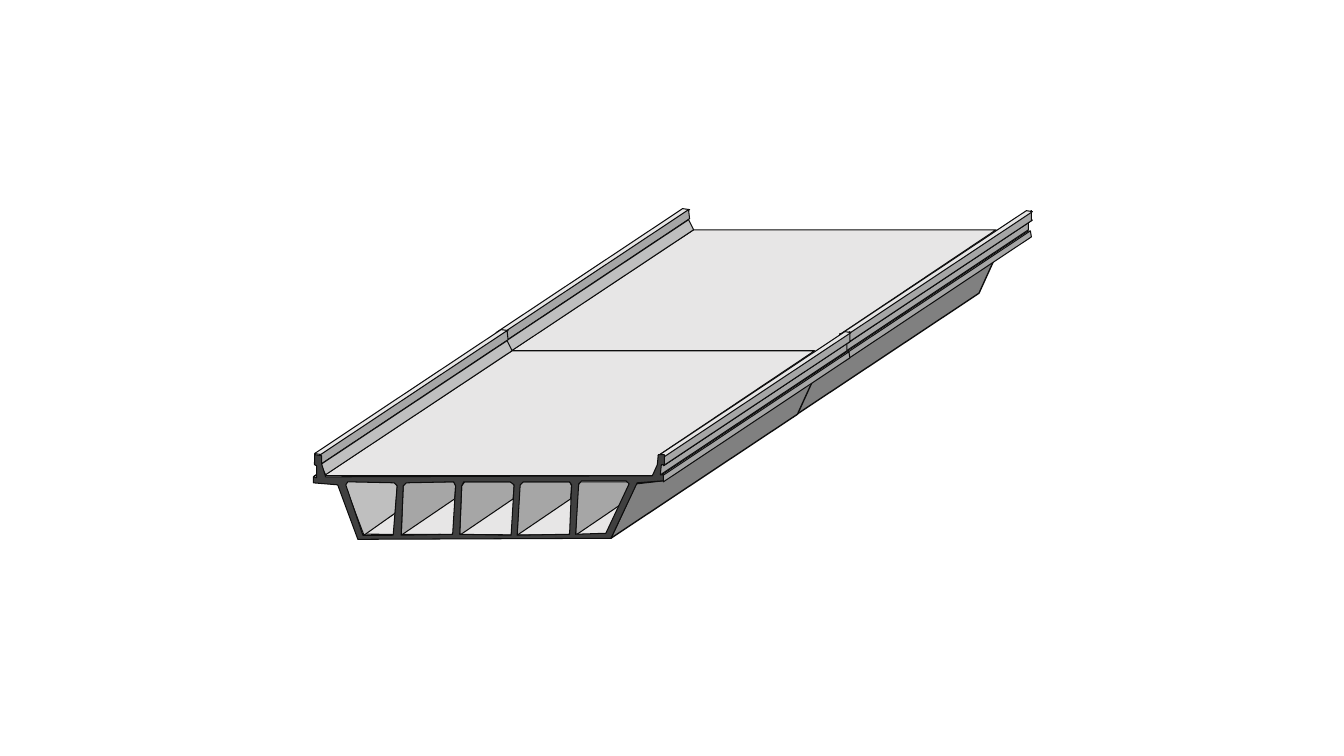
import math
from lxml import etree
from pptx import Presentation
from pptx import util as u
from pptx.dml.color import RGBColor
from pptx.enum import shapes
from pptx.oxml import ns

PALE = RGBColor(0xE7, 0xE6, 0xE6)
LIGHT = RGBColor(0xBF, 0xBF, 0xBF)
MEDIUM = RGBColor(0xA6, 0xA6, 0xA6)
DARK = RGBColor(0x80, 0x80, 0x80)
CONCRETE = RGBColor(0x40, 0x40, 0x40)
EDGE = RGBColor(0x0D, 0x0D, 0x0D)
BLACK = RGBColor(0, 0, 0)

SPAN_OFFSETS = [(0, 0), (-1.8, 1.2)]
RUN = (1.85, -1.23)
TILT = 3.4
SECTION_CENTRE = (6.64, 3.72)

FLOOR = [(6.38, 3.46), (8.71, 3.43), (7.83, 4.11), (5.4, 4.1)]
FIRST_CELL = [(5.41, 4.11), (5.22, 3.61), (5.25, 3.57), (5.71, 3.57),
              (5.74, 3.62), (5.72, 3.89)]
CELL = [(0.05, 3.58), (0.52, 3.58), (0.54, 3.62), (0.53, 3.75), (0, 4.11), (0.02, 3.62)]
CELL_LEFTS = [5.78, 6.36, 6.93, 7.51]
GIRDER_SIDE = [(7.86, 4.14), (8.11, 3.6), (8.37, 3.57), (9.86, 2.58), (9.71, 2.91)]
ROADWAY = [(6.88, 2.28), (9.88, 2.28), (8.33, 3.32), (8.33, 3.41), (8.28, 3.52), (5.01, 3.52)]

OUTER_WALL = ((8.35, 3.51), (8.35, 3.42), MEDIUM)
RAIL_STRIPS = [
    ((8.35, 3.52), (8.37, 3.53), PALE),
    ((4.92, 3.3), (4.99, 3.31), PALE),
    ((4.99, 3.4), (4.98, 3.31), MEDIUM),
    ((4.98, 3.41), (5.03, 3.51), LIGHT),
    ((8.38, 3.42), (8.38, 3.32), MEDIUM),
    ((8.38, 3.58), (8.37, 3.52), MEDIUM),
    ((8.33, 3.32), (8.39, 3.33), PALE),
]
JOINTS = [((8.38, 3.42), (10.24, 2.18)), ((4.91, 3.53), (4.98, 3.48))]

SECTION_RIM = [
    (4.92, 3.31), (4.99, 3.32), (4.99, 3.4), (5.03, 3.53), (8.27, 3.52), (8.28, 3.5),
    (8.32, 3.41), (8.33, 3.31), (8.39, 3.31), (8.39, 3.41), (8.36, 3.41), (8.35, 3.51),
    (8.38, 3.51), (8.38, 3.57), (8.12, 3.59), (7.86, 4.14), (5.35, 4.15), (5.15, 3.61),
    (4.91, 3.59), (4.91, 3.53), (4.94, 3.54), (4.94, 3.42), (4.92, 3.41)]
SECTION_HOLES = [
    [(5.25, 3.58), (5.23, 3.61), (5.4, 4.11), (5.7, 4.11), (5.74, 3.62), (5.71, 3.59)],
    [(6.3, 3.58), (5.83, 3.59), (5.8, 3.62), (5.78, 4.11), (6.29, 4.1), (6.32, 3.62)],
    [(6.4, 3.58), (6.38, 3.62), (6.36, 4.1), (6.87, 4.11), (6.9, 3.61), (6.86, 3.58)],
    [(6.99, 3.58), (6.96, 3.61), (6.93, 4.11), (7.45, 4.1), (7.47, 3.61), (7.45, 3.58)],
    [(7.57, 3.57), (7.54, 3.6), (7.51, 4.1), (7.81, 4.09), (8.04, 3.6), (8.01, 3.57)],
]


def shift(points, offset):
    return [(x + offset[0], y + offset[1]) for x, y in points]


def to_inches(points):
    return [(u.Inches(x), u.Inches(y)) for x, y in points]


def untilt(points):
    cos, sin = math.cos(math.radians(TILT)), math.sin(math.radians(TILT))
    centre_x, centre_y = SECTION_CENTRE
    return [(centre_x + (x - centre_x) * cos + (y - centre_y) * sin,
             centre_y - (x - centre_x) * sin + (y - centre_y) * cos) for x, y in points]


def style_line(line, colour, width):
    line.color.rgb = colour
    line.width = u.Pt(width)


def add_outline(group, contours, offset, colour, width=0.75, rotation=0):
    first, *others = [to_inches(shift(points, offset)) for points in contours]
    builder = group.shapes.build_freeform(*first[0])
    builder.add_line_segments(first[1:], close=True)
    for contour in others:
        builder.move_to(*contour[0])
        builder.add_line_segments(contour[1:], close=True)
    outline = builder.convert_to_shape()
    outline.shadow.inherit = False
    outline.rotation = rotation
    outline.fill.solid()
    outline.fill.fore_color.rgb = colour
    style_line(outline.line, EDGE, width)


def add_strip(group, near_start, near_end, colour, offset):
    far_start, far_end = shift([near_start, near_end], RUN)
    add_outline(group, [[near_start, far_start, far_end, near_end]], offset, colour)


def add_joint(group, ends, offset):
    start, end = to_inches(shift(ends, offset))
    joint = group.shapes.add_connector(shapes.MSO_CONNECTOR.STRAIGHT, *start, *end)
    style_line(joint.line, BLACK, 1)
    etree.SubElement(joint._element.spPr, ns.qn("a:effectLst"))


def add_span(page, offset):
    group = page.shapes.add_group_shape()
    add_outline(group, [FLOOR], offset, PALE)
    add_outline(group, [FIRST_CELL], offset, LIGHT)
    for left in CELL_LEFTS:
        add_outline(group, [shift(CELL, (left, 0))], offset, MEDIUM)
    add_outline(group, [GIRDER_SIDE], offset, DARK, width=1)
    add_strip(group, *OUTER_WALL, offset)
    for ends in JOINTS:
        add_joint(group, ends, offset)
    add_outline(group, [ROADWAY], offset, PALE)
    for strip in RAIL_STRIPS:
        add_strip(group, *strip, offset)
    section = [untilt(points) for points in [SECTION_RIM, *SECTION_HOLES]]
    add_outline(group, section, offset, CONCRETE, rotation=TILT)


def main():
    deck = Presentation()
    deck.slide_width, deck.slide_height = u.Inches(13.33), u.Inches(7.5)
    page = deck.slides.add_slide(deck.slide_layouts[6])
    for offset in SPAN_OFFSETS:
        add_span(page, offset)
    deck.save("out.pptx")


main()
